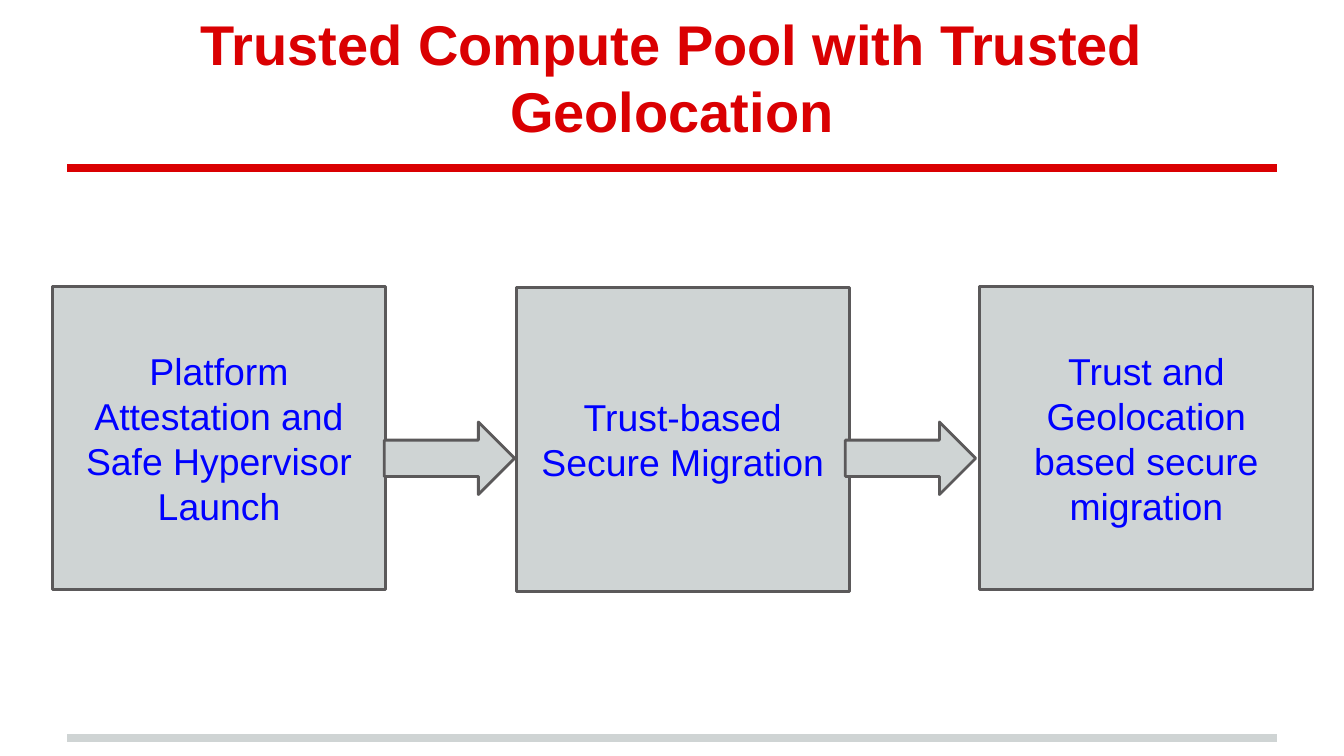
from dataclasses import dataclass
from lxml.etree import SubElement
from pptx import Presentation
from pptx.dml.color import RGBColor as Rgb
from pptx.enum.shapes import MSO_CONNECTOR as Conn, MSO_SHAPE as Kind
from pptx.enum.text import MSO_ANCHOR as Anchor, PP_ALIGN as Align
from pptx.oxml.ns import qn
from pptx.util import Inches, Pt

COLORS = {"red": "DA0002", "gray": "CFD4D4", "edge": "5B595A", "blue": "0000FF"}


@dataclass
class Rule:
    top: float
    color: str


@dataclass
class Block:
    kind: Kind
    left: float
    top: float
    width: float
    height: float
    text: str = ""


def tint(name: str) -> Rgb:
    return Rgb.from_string(COLORS[name])


def write(shape, text: str, size: int, color: str, anchor: Anchor, bold: bool = False) -> None:
    frame = shape.text_frame
    frame.text = text
    frame.word_wrap = True
    frame.vertical_anchor = anchor
    frame.margin_left = frame.margin_right = Inches(0.1)
    frame.margin_top = frame.margin_bottom = Inches(0.1)
    line = frame.paragraphs[0]
    line.alignment = Align.CENTER
    for run in line.runs:
        run.font.name = "Arial"
        run.font.size = Pt(size)
        run.font.bold = bold
        run.font.color.rgb = tint(color)


def draw_rule(slide, rule: Rule) -> None:
    line = slide.shapes.add_connector(
        Conn.STRAIGHT, Inches(0.5), Inches(rule.top), Inches(9.5), Inches(rule.top))
    line.line.color.rgb = tint(rule.color)
    line.line.width = Pt(4)
    SubElement(line._element.spPr, qn("a:effectLst"))


def draw_block(slide, block: Block) -> None:
    shape = slide.shapes.add_shape(
        block.kind, Inches(block.left), Inches(block.top),
        Inches(block.width), Inches(block.height))
    shape.shadow.inherit = False
    shape.fill.solid()
    shape.fill.fore_color.rgb = tint("gray")
    shape.line.color.rgb = tint("edge")
    shape.line.width = Pt(1.5)
    if block.text:
        write(shape, block.text, 20, "blue", Anchor.MIDDLE)


STEPS = [
    (2.13, "Platform Attestation and Safe Hypervisor Launch"),
    (2.14, "Trust-based Secure Migration"),
    (2.13, "Trust and Geolocation based secure migration"),
]
RULES = [Rule(5.49, "gray"), Rule(1.25, "red")]
BOXES = [Block(Kind.RECTANGLE, 0.39 + 3.45 * i, top, 2.48, 2.26, text)
         for i, (top, text) in enumerate(STEPS)]
ARROWS = [Block(Kind.RIGHT_ARROW, left, 3.14, 0.97, 0.54) for left in (2.86, 6.29)]

deck = Presentation()
deck.slide_width = Inches(10)
deck.slide_height = Inches(10 * 9 / 16)
slide = deck.slides.add_slide(deck.slide_layouts[6])
for rule in RULES:
    draw_rule(slide, rule)
title = slide.shapes.add_textbox(Inches(0.5), Inches(0.23), Inches(9), Inches(0.94))
write(title, "Trusted Compute Pool with Trusted Geolocation", 30, "red", Anchor.BOTTOM, True)
for block in BOXES + ARROWS:
    draw_block(slide, block)
deck.save("out.pptx")
